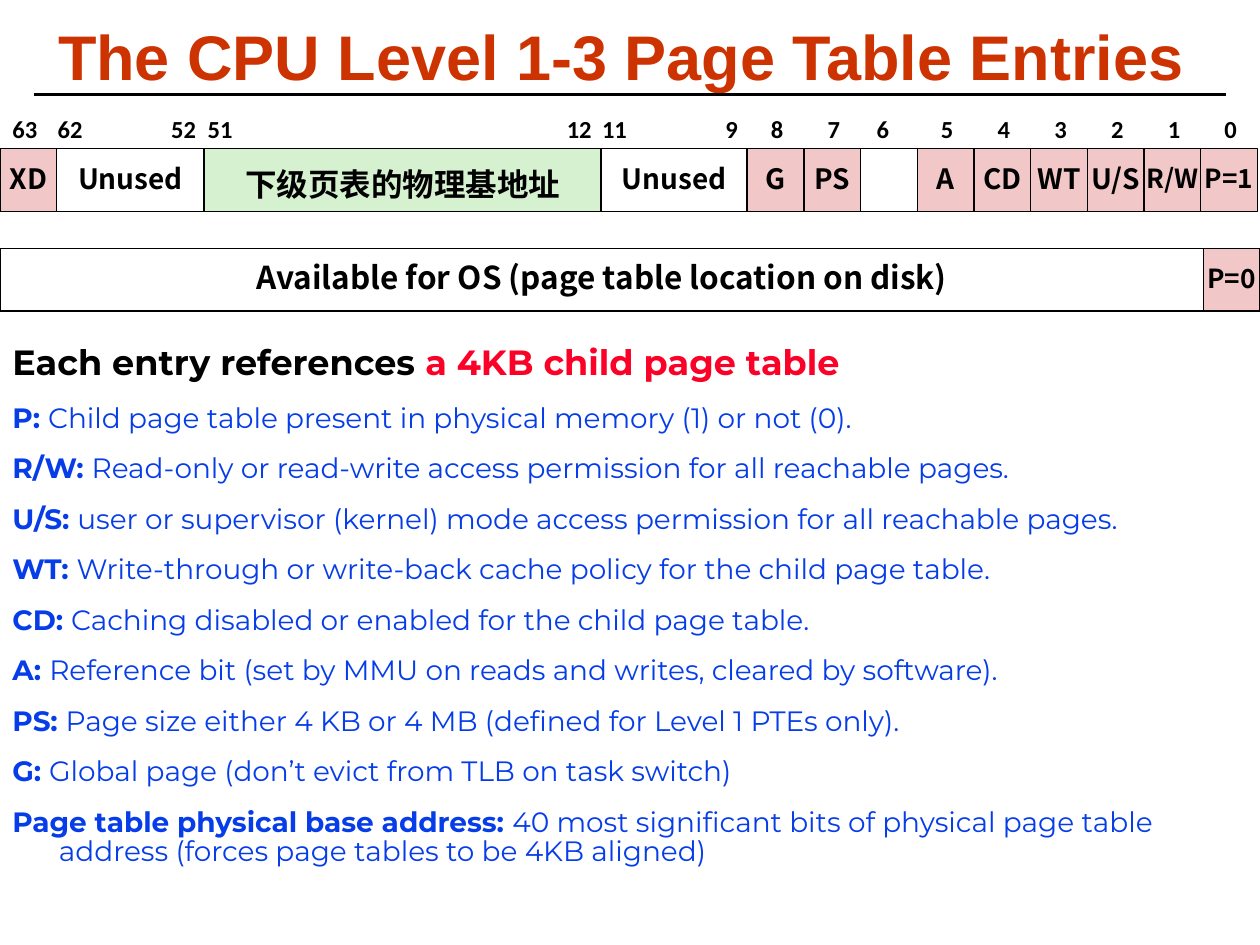
import pptx
import pptx.util
import pptx.dml.color
import pptx.enum.shapes
import pptx.enum.text
import pptx.oxml
import pptx.oxml.ns

Inches, Pt = pptx.util.Inches, pptx.util.Pt
Align = pptx.enum.text.PP_ALIGN
Anchor = pptx.enum.text.MSO_ANCHOR
Fit = pptx.enum.text.MSO_AUTO_SIZE

BLACK, WHITE, PINK, GREEN = "000000", "FFFFFF", "F1C7C7", "D5F1CF"
BLUE, RED, RUST = "063DE8", "FC0128", "CC3300"
SANS = "Noto Sans CJK SC"
TIGHT = 0.88  # line spacing
BIT = 0.45    # width of a one-bit field
TALL = 0.5    # height of a field

# Text, width, fill, size, and bit numbers with their offset from the left edge
FIELDS = [
    ("XD", BIT, PINK, 16, {"63": 0}),
    ("Unused", 1.17, WHITE, 16, {"62": -0.09, "52": 0.81}),
    ("下级页表的物理基地址", 3.15, GREEN, 18, {"51": -0.07, "12": 2.78}),
    ("Unused", 1.16, WHITE, 16, {"11": -0.09, "9": 0.89}),
    ("G", BIT, PINK, 16, {"8": 0.09}),
    ("PS", BIT, PINK, 16, {"7": 0.09}),
    ("", BIT, WHITE, 16, {"6": 0.03}),
    ("A", BIT, PINK, 16, {"5": 0.09}),
    ("CD", BIT, PINK, 16, {"4": 0.09}),
    ("WT", BIT, PINK, 16, {"3": 0.09}),
    ("U/S", BIT, PINK, 16, {"2": 0.09}),
    ("R/W", BIT, PINK, 15, {"1": 0.09}),
    ("P=1", BIT, PINK, 15, {"0": 0.09}),
]

NOTES = [
    ("P:", "Child page table present in physical memory (1) or not (0)."),
    ("R/W:", "Read-only or read-write access permission for all reachable pages."),
    ("U/S:", "user or supervisor (kernel) mode access permission for all reachable pages."),
    ("WT:", "Write-through or write-back cache policy for the child page table."),
    ("CD:", "Caching disabled or enabled for the child page table."),
    ("A:", "Reference bit (set by MMU on reads and writes, cleared by software)."),
    ("PS:", "Page size either 4 KB or 4 MB (defined for Level 1 PTEs only)."),
    ("G:", "Global page (don’t evict from TLB on task switch)"),
    ("Page table physical base address:", "40 most significant bits of physical "
     "page table address (forces page tables to be 4KB aligned)"),
]


def color(code):
    return pptx.dml.color.RGBColor.from_string(code)


def style(para, face, size, shade, bold=True, space=TIGHT):
    para.line_spacing = space
    font = para.font
    font.name, font.size, font.bold = face, Pt(size), bold
    font.color.rgb = color(shade)


def add_title(slide, text):
    title = slide.shapes.title
    title.left, title.top = Inches(0.27), Inches(0.17)
    title.width, title.height = Inches(9.32), Inches(0.62)
    frame = title.text_frame
    frame.text = text
    frame.auto_size = Fit.NONE
    frame.vertical_anchor = Anchor.MIDDLE
    para = frame.paragraphs[0]
    para.alignment = Align.CENTER
    style(para, "Arial", 36, RUST, space=0.87)


def add_rule(slide, left, right, top):
    rule = slide.shapes.add_connector(
        pptx.enum.shapes.MSO_CONNECTOR.STRAIGHT,
        Inches(left), Inches(top), Inches(right), Inches(top))
    rule.line.color.rgb = color(BLACK)
    rule.line.width = Pt(1.5)
    rule._element.spPr.append(pptx.oxml.parse_xml(
        "<a:effectLst %s/>" % pptx.oxml.ns.nsdecls("a")))


def add_field(slide, text, left, top, width, fill, size):
    box = slide.shapes.add_shape(
        pptx.enum.shapes.MSO_SHAPE.RECTANGLE,
        Inches(left), Inches(top), Inches(width), Inches(TALL))
    box.shadow.inherit = False
    box.fill.solid()
    box.fill.fore_color.rgb = color(fill)
    box.line.color.rgb = color(BLACK)
    box.line.width = Pt(0.75)
    if not text:
        return
    frame = box.text_frame
    frame.word_wrap = False
    frame.vertical_anchor = Anchor.MIDDLE
    para = frame.paragraphs[0]
    para.alignment = Align.CENTER
    run = para.add_run()
    run.text = text
    style(para, SANS, size, BLACK, space=TIGHT if text.isascii() else 1.2)
    if not text.isascii():  # Chinese text takes the East Asian font
        run._r.get_or_add_rPr().append(pptx.oxml.parse_xml(
            '<a:ea %s typeface="%s"/>' % (pptx.oxml.ns.nsdecls("a"), SANS)))


def add_bit(slide, text, left):
    width = 0.2 + 0.1 * len(text)
    box = slide.shapes.add_textbox(
        Inches(left), Inches(0.89), Inches(width), Inches(0.3))
    frame = box.text_frame
    frame.word_wrap = False
    frame.text = text
    style(frame.paragraphs[0], "Calibri", 14, BLACK)


def add_entry(slide):
    left = 0
    for text, width, fill, size, bits in FIELDS:
        add_field(slide, text, left, 1.18, width, fill, size)
        for bit, shift in bits.items():
            add_bit(slide, bit, left + shift)
        left += width


def add_line(para, head, tail, size, shade):
    """Write a bold head and a tail with a hanging indent."""
    props = para._p.get_or_add_pPr()
    props.set("marL", str(Inches(0.37)))
    props.set("indent", str(-Inches(0.37)))
    style(para, "Montserrat", size, shade, bold=None)
    lead, rest = para.add_run(), para.add_run()
    lead.text, rest.text = head + " ", tail
    lead.font.bold = True
    return rest


def add_notes(slide):
    box = slide.shapes.add_textbox(
        Inches(0), Inches(2.7), Inches(10), Inches(4.25))
    frame = box.text_frame
    frame.word_wrap = True
    rest = add_line(frame.paragraphs[0], "Each entry references",
                    "a 4KB child page table", 20, BLACK)
    rest.font.bold = True
    rest.font.color.rgb = color(RED)
    for head, tail in NOTES:
        para = frame.add_paragraph()
        para.space_before = Pt(12)
        add_line(para, head, tail, 16, BLUE)


def main():
    deck = pptx.Presentation()
    deck.slide_width, deck.slide_height = Inches(10), Inches(7.5)
    slide = deck.slides.add_slide(deck.slide_layouts[5])

    # Heading
    add_rule(slide, 0.27, 9.73, 0.75)
    add_title(slide, "The CPU Level 1-3 Page Table Entries")

    # Entry when present, then when absent
    add_entry(slide)
    add_field(slide, "Available for OS (page table location on disk)",
              0, 1.97, 10 - BIT, WHITE, 18)
    add_field(slide, "P=0", 10 - BIT, 1.97, BIT, PINK, 15)

    # Meaning of the fields
    add_notes(slide)
    deck.save("out.pptx")


if __name__ == "__main__":
    main()
